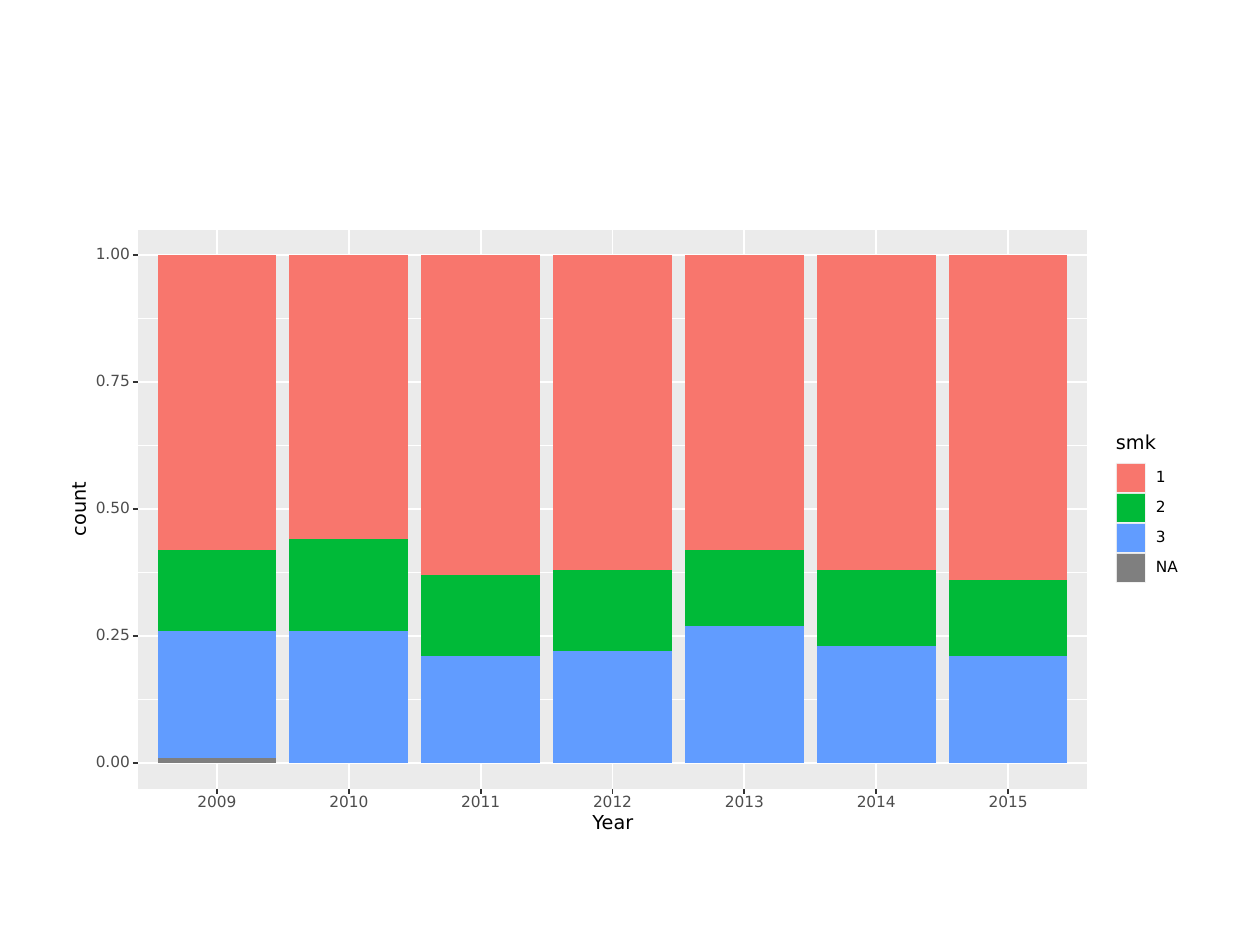
"""Build a slide with a stacked share chart of smk by year."""
import lxml.etree
import pptx
import pptx.chart.data
import pptx.dml.color
import pptx.enum.chart
import pptx.enum.shapes
import pptx.enum.text
import pptx.oxml
import pptx.oxml.ns
import pptx.util

YEARS = ["2009", "2010", "2011", "2012", "2013", "2014", "2015"]
SHARES = [
    ("1", "F8766D", [0.58, 0.56, 0.63, 0.62, 0.58, 0.62, 0.64]),
    ("2", "00BA38", [0.16, 0.18, 0.16, 0.16, 0.15, 0.15, 0.15]),
    ("3", "619CFF", [0.25, 0.26, 0.21, 0.22, 0.27, 0.23, 0.21]),
    ("NA", "7F7F7F", [0.01] + [None] * 6),
]
LEGEND_TITLE, YEAR_TITLE, COUNT_TITLE = "smk", "Year", "count"
THEME = {
    "font": "DejaVu Sans", "label": 8.8, "title": 11,
    "panel": "EBEBEB", "grid": "FFFFFF", "tick": "333333",
    "axis": "4D4D4D", "ink": "000000", "key": "F2F2F2",
    "minor": 0.53, "major": 1.07,
}
EMU_PER_PIXEL = 914400 / 126
PANEL = (138, 230, 949, 559)
BARS = (151, 255, 923, 508)
TICK = 5
KEY_LEFT, KEY_TOP, KEY_SIZE = 1116, 463, 30

ALIGN = pptx.enum.text.PP_ALIGN
panel_left, panel_top = PANEL[:2]
panel_right, panel_bottom = panel_left + PANEL[2], panel_top + PANEL[3]
bars_left, bars_top, bars_width, bars_height = BARS


def emu(*pixels):
    return [pptx.util.Emu(round(value * EMU_PER_PIXEL)) for value in pixels]


def rgb(code):
    return pptx.dml.color.RGBColor.from_string(code)


def add_block(box, color):
    block = slide.shapes.add_shape(pptx.enum.shapes.MSO_SHAPE.RECTANGLE, *emu(*box))
    block.shadow.inherit = False
    block.fill.solid()
    block.fill.fore_color.rgb = rgb(color)
    block.line.fill.background()


def add_rule(ends, color, weight):
    rule = slide.shapes.add_connector(pptx.enum.shapes.MSO_CONNECTOR.STRAIGHT, *emu(*ends))
    rule.line.color.rgb = rgb(color)
    rule.line.width = pptx.util.Pt(weight)
    lxml.etree.SubElement(rule._element.spPr, pptx.oxml.ns.qn("a:effectLst"))


def add_label(wording, left, middle, width, size="label", color="ink", align=ALIGN.LEFT, turn=0):
    height = 12
    label = slide.shapes.add_textbox(*emu(left, middle - height / 2, width, height))
    label.rotation = turn
    frame = label.text_frame
    frame.margin_left = frame.margin_right = frame.margin_top = frame.margin_bottom = 0
    frame.word_wrap = False
    frame.vertical_anchor = pptx.enum.text.MSO_ANCHOR.MIDDLE
    paragraph = frame.paragraphs[0]
    paragraph.alignment = align
    paragraph.line_spacing = pptx.util.Pt(THEME[size])
    run = paragraph.add_run()
    run.text = wording
    run.font.name = THEME["font"]
    run.font.size = pptx.util.Pt(THEME[size])
    run.font.color.rgb = rgb(THEME[color])


def add_share_chart():
    shares = pptx.chart.data.CategoryChartData(number_format="0.00")
    shares.categories = YEARS
    stack = SHARES[::-1]
    for name, _, values in stack:
        shares.add_series(name, values)
    chart = slide.shapes.add_chart(
        pptx.enum.chart.XL_CHART_TYPE.COLUMN_STACKED, *emu(*BARS), shares).chart
    chart.has_title = chart.has_legend = False
    chart.font.name = THEME["font"]
    chart.font.size = pptx.util.Pt(THEME["label"])
    chart.font.color.rgb = rgb(THEME["axis"])
    chart.value_axis.minimum_scale, chart.value_axis.maximum_scale = 0, 1
    chart.value_axis.has_major_gridlines = False
    chart.value_axis.visible = chart.category_axis.visible = False
    plot = chart.plots[0]
    plot.gap_width, plot.overlap, plot.vary_by_categories = 11, 100, False
    for series, (_, color, _) in zip(plot.series, stack):
        series.format.fill.solid()
        series.format.fill.fore_color.rgb = rgb(color)
        series.format.line.fill.background()
    plot_area = chart._chartSpace.chart.plotArea
    for old_layout in plot_area.findall(pptx.oxml.ns.qn("c:layout")):
        plot_area.remove(old_layout)
    plot_area.insert(0, pptx.oxml.parse_xml(
        f'<c:layout {pptx.oxml.ns.nsdecls("c")}><c:manualLayout>'
        '<c:layoutTarget val="inner"/><c:xMode val="edge"/><c:yMode val="edge"/>'
        '<c:x val="0"/><c:y val="0"/><c:w val="1"/><c:h val="1"/>'
        '</c:manualLayout></c:layout>'))


presentation = pptx.Presentation()
presentation.slide_width, presentation.slide_height = emu(1260, 945)
slide = presentation.slides.add_slide(presentation.slide_layouts[6])

share_levels = [(step / 4, bars_top + bars_height * (1 - step / 4)) for step in range(5)]
pitch = bars_width / len(YEARS)
year_centers = [(year, bars_left + pitch * (place + 0.5)) for place, year in enumerate(YEARS)]

add_block(PANEL, THEME["panel"])
for _, level in share_levels[:-1]:
    halfway = level - bars_height / 8
    add_rule((panel_left, halfway, panel_right, halfway), THEME["grid"], THEME["minor"])
for _, level in share_levels:
    add_rule((panel_left, level, panel_right, level), THEME["grid"], THEME["major"])
for _, center in year_centers:
    add_rule((center, panel_top, center, panel_bottom), THEME["grid"], THEME["major"])

add_share_chart()

for share, level in share_levels:
    add_label(f"{share:.2f}", 90, level, 40, color="axis", align=ALIGN.RIGHT)
    add_rule((panel_left - TICK, level, panel_left, level), THEME["tick"], THEME["major"])
for year, center in year_centers:
    add_label(year, center - 22, 803, 44, color="axis", align=ALIGN.CENTER)
    add_rule((center, panel_bottom, center, panel_bottom + TICK), THEME["tick"], THEME["major"])
add_label(YEAR_TITLE, 588, 824, 50, "title", align=ALIGN.CENTER)
add_label(COUNT_TITLE, 45, 509, 70, "title", align=ALIGN.CENTER, turn=270)

add_label(LEGEND_TITLE, KEY_LEFT, 444, 50, "title")
for place, (name, color, _) in enumerate(SHARES):
    top = KEY_TOP + place * KEY_SIZE
    add_block((KEY_LEFT, top, KEY_SIZE, KEY_SIZE), THEME["key"])
    add_block((KEY_LEFT + 1, top + 1, KEY_SIZE - 2, KEY_SIZE - 2), color)
    add_label(name, KEY_LEFT + 40, top + KEY_SIZE / 2, 30)

presentation.save("out.pptx")
